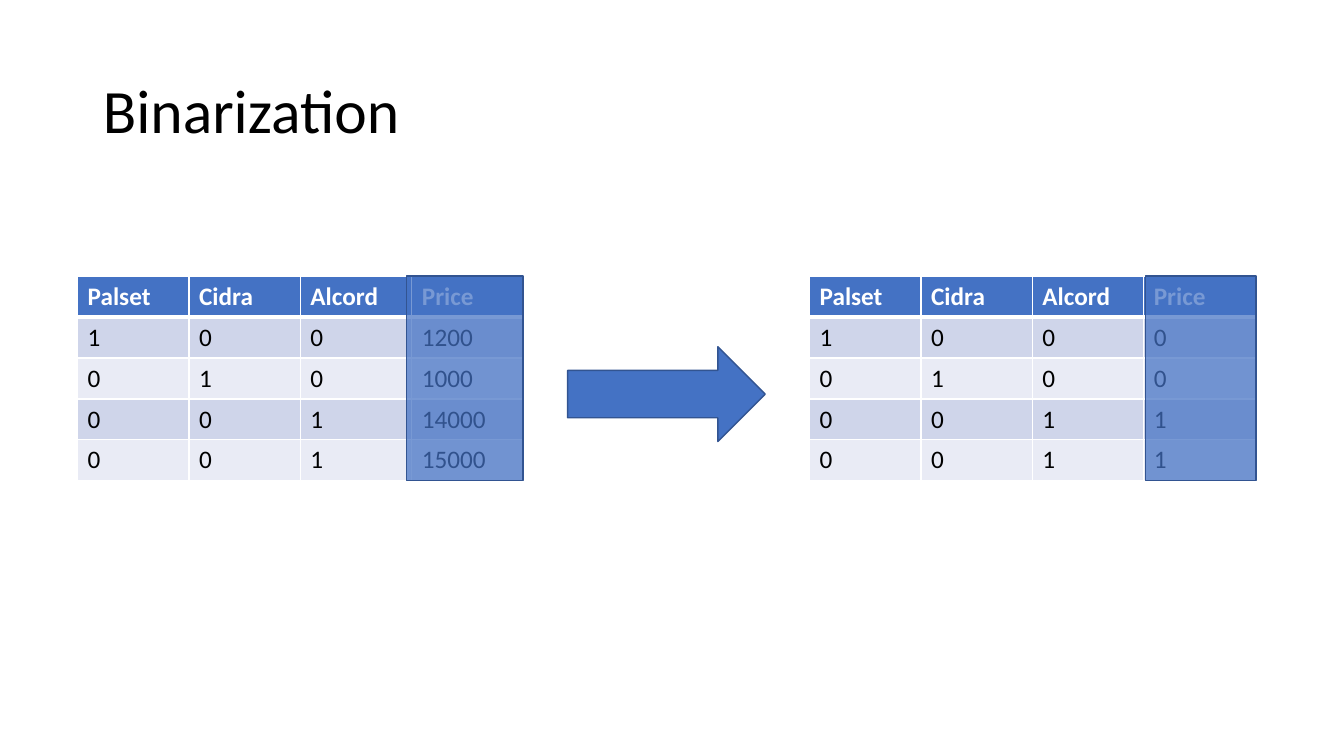
from dataclasses import dataclass

from lxml import etree
from pptx import Presentation
from pptx.dml.color import RGBColor
from pptx.enum import shapes, text
from pptx.oxml import ns
from pptx.util import Inches, Pt


@dataclass(frozen=True)
class Theme:
    font: str = "Calibri"
    title_size: int = 44
    table_size: int = 18
    dark: str = "000000"
    light: str = "FFFFFF"
    accent: str = "4472C4"
    outline: str = "325491"
    bands: tuple = ("CFD5EA", "E9EBF5")


def rgb(color):
    return RGBColor.from_string(color)


class SlideBuilder:
    def __init__(self, slide, theme):
        self.slide = slide
        self.theme = theme

    def style(self, p, size, color, bold=False):
        p.font.name = self.theme.font
        p.font.size = Pt(size)
        p.font.color.rgb = rgb(color)
        p.font.bold = bold

    def title(self, words, left, top, width, height):
        sp = self.slide.shapes.title
        sp.left, sp.top, sp.width, sp.height = map(Inches, (left, top, width, height))
        tf = sp.text_frame
        tf.text = words
        tf.vertical_anchor = text.MSO_ANCHOR.MIDDLE
        p = tf.paragraphs[0]
        p.alignment = text.PP_ALIGN.LEFT
        p.line_spacing = 0.9
        self.style(p, self.theme.title_size, self.theme.dark)

    def border(self, cell, side, width):
        props = cell._tc.get_or_add_tcPr()
        line = etree.SubElement(props, ns.qn(f"a:ln{side}"), w=str(Pt(width)))
        fill = etree.SubElement(line, ns.qn("a:solidFill"))
        etree.SubElement(fill, ns.qn("a:srgbClr"), val=self.theme.light)

    def table(self, rows, left, top, width, height):
        """Draw a table with a bold header row and banded body rows."""
        frame = self.slide.shapes.add_table(
            len(rows), len(rows[0]), *map(Inches, (left, top, width, height)))
        table = frame.table
        table.horz_banding = False
        for i, row in enumerate(rows):
            header = i == 0
            fill = self.theme.accent if header else self.theme.bands[(i - 1) % 2]
            color = self.theme.light if header else self.theme.dark
            widths = {"L": 1, "R": 1, "T": 3 if i == 1 else 1, "B": 3 if header else 1}
            for j, value in enumerate(row):
                cell = table.cell(i, j)
                cell.text = str(value)
                self.style(cell.text_frame.paragraphs[0],
                           self.theme.table_size, color, header)
                for side, line_width in widths.items():
                    self.border(cell, side, line_width)
                cell.fill.solid()
                cell.fill.fore_color.rgb = rgb(fill)

    def shape(self, kind, left, top, width, height, opacity=100):
        sp = self.slide.shapes.add_shape(kind, *map(Inches, (left, top, width, height)))
        sp.shadow.inherit = False
        sp.fill.solid()
        sp.fill.fore_color.rgb = rgb(self.theme.accent)
        sp.line.color.rgb = rgb(self.theme.outline)
        sp.line.width = Pt(1)
        if opacity < 100:
            color = sp._element.spPr.find(ns.qn("a:solidFill"))[0]
            etree.SubElement(color, ns.qn("a:alpha"), val=str(opacity * 1000))


def main():
    prs = Presentation()
    prs.slide_width, prs.slide_height = Inches(13.33), Inches(7.5)
    builder = SlideBuilder(prs.slides.add_slide(prs.slide_layouts[5]), Theme())
    builder.title("Binarization", 0.92, 0.4, 11.5, 1.45)

    header = ("Palset", "Cidra", "Alcord", "Price")
    models = ((1, 0, 0), (0, 1, 0), (0, 0, 1), (0, 0, 1))
    prices = (1200, 1000, 14000, 15000)
    binary_prices = (0, 0, 1, 1)
    top, height = 2.74, 2.03
    for left, column in ((0.77, prices), (8.03, binary_prices)):
        rows = [header] + [(*model, price) for model, price in zip(models, column)]
        builder.table(rows, left, top, 4.42, height)

    builder.shape(shapes.MSO_SHAPE.RIGHT_ARROW, 5.63, 3.44, 1.96, 0.94)
    for left, width in ((4.03, 1.16), (11.36, 1.1)):
        builder.shape(shapes.MSO_SHAPE.RECTANGLE, left, top, width, height, opacity=72)
    prs.save("out.pptx")


if __name__ == "__main__":
    main()
